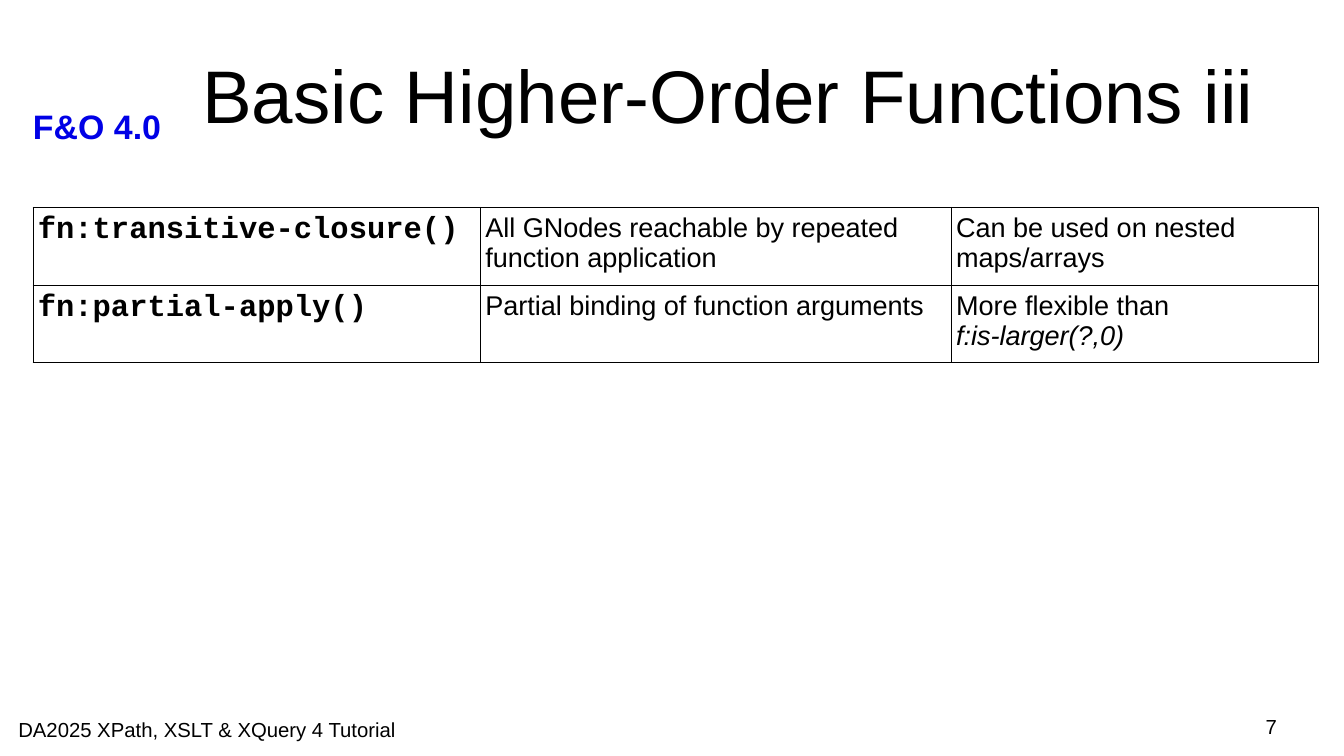
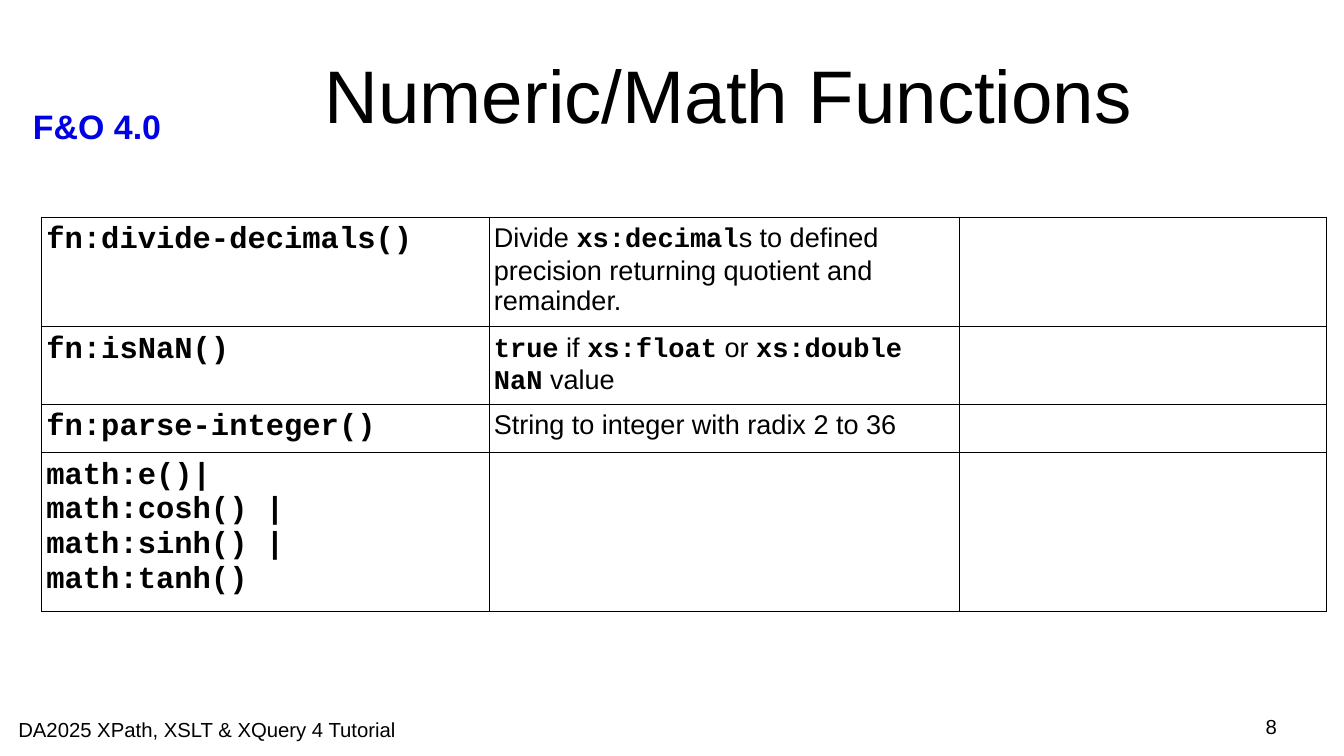
from dataclasses import dataclass

from lxml import etree
from pptx import Presentation
from pptx.dml.color import RGBColor
from pptx.enum.text import MSO_ANCHOR, PP_ALIGN
from pptx.oxml.ns import qn
from pptx.util import Inches, Pt

LEFT, CENTER, RIGHT = PP_ALIGN.LEFT, PP_ALIGN.CENTER, PP_ALIGN.RIGHT
TOP, MIDDLE = MSO_ANCHOR.TOP, MSO_ANCHOR.MIDDLE


@dataclass(frozen=True)
class Theme:
    ink: RGBColor = RGBColor(0, 0, 0)
    accent: RGBColor = RGBColor(0, 0, 0xE6)
    sans: str = "Arial"
    mono: str = "Courier New"
    title: int = 44
    section: int = 20
    function: int = 18
    body: int = 16
    footer: int = 12
    border: float = 0.57


theme = Theme()
COLUMN_WIDTHS = (3.67, 3.86, 3.01)
BODY, CODE, EMPHASIS, BREAK = "body", "code", "emphasis", "break"


def style(font, size, color=theme.ink, name=theme.sans, bold=False):
    font.name = name
    font.size = Pt(size)
    font.bold = bold
    font.color.rgb = color


def add_label(slide, text, box, size, align=LEFT, anchor=TOP, color=theme.ink, bold=False):
    frame = slide.shapes.add_textbox(*map(Inches, box)).text_frame
    frame.word_wrap = True
    frame.vertical_anchor = anchor
    frame.margin_left = frame.margin_right = frame.margin_top = frame.margin_bottom = 0
    paragraph = frame.paragraphs[0]
    paragraph.text = text
    paragraph.alignment = align
    style(paragraph.font, size, color, bold=bold)


pages = [
    {
        "title": "Basic Higher-Order Functions iii",
        "number": "7",
        "origin": (0.27, 1.7),
        "rows": [
            (0.64, ["fn:transitive-closure()"],
             [("All GNodes reachable by repeated function application", BODY)],
             [("Can be used on nested maps/arrays", BODY)]),
            (0.63, ["fn:partial-apply()"],
             [("Partial binding of function arguments", BODY)],
             [("More flexible than", BODY), ("", BREAK), ("f:is-larger(?,0)", EMPHASIS)]),
        ],
    },
    {
        "title": "Numeric/Math Functions",
        "number": "8",
        "origin": (0.34, 1.78),
        "rows": [
            (0.89, ["fn:divide-decimals()"],
             [("Divide ", BODY), ("xs:decimal", CODE),
              ("s to defined precision returning quotient and remainder.", BODY)], []),
            (0.63, ["fn:isNaN()"],
             [("true", CODE), (" if ", BODY), ("xs:float", CODE), (" or ", BODY),
              ("xs:double NaN", CODE), (" value", BODY)], []),
            (0.4, ["fn:parse-integer()"],
             [("String to integer with radix 2 to 36", BODY)], []),
            (1.3, ["math:e()|", "math:cosh() | math:sinh() |math:tanh()"], [], []),
        ],
    },
]

deck = Presentation()
deck.slide_width, deck.slide_height = Inches(11.02), Inches(6.2)

for page in pages:
    slide = deck.slides.add_slide(deck.slide_layouts[6])
    add_label(slide, "F&O 4.0", (0.27, 0.87, 1.18, 0.31), theme.section,
              color=theme.accent, bold=True)
    add_label(slide, page["title"], (1.48, 0.25, 8.99, 1.04), theme.title, CENTER, MIDDLE)

    rows = page["rows"]
    left, top = page["origin"]
    table = slide.shapes.add_table(
        len(rows), len(COLUMN_WIDTHS), Inches(left), Inches(top),
        Inches(sum(COLUMN_WIDTHS)), Inches(sum(row[0] for row in rows))).table
    table.first_row = table.horz_banding = False
    for column, width in zip(table.columns, COLUMN_WIDTHS):
        column.width = Inches(width)

    for row, (height, functions, *details) in zip(table.rows, rows):
        row.height = Inches(height)
        for cell in row.cells:
            cell.margin_left = cell.margin_right = Inches(0.04)
            cell.margin_top = cell.margin_bottom = Inches(0.05)
            properties = cell._tc.get_or_add_tcPr()
            for side in ("a:lnL", "a:lnR", "a:lnT", "a:lnB"):
                border = etree.SubElement(properties, qn(side), w=str(Pt(theme.border)))
                fill = etree.SubElement(border, qn("a:solidFill"))
                etree.SubElement(fill, qn("a:srgbClr"), val=str(theme.ink))
            cell.fill.background()

        function_cell, *detail_cells = row.cells
        function_cell.text = "\n".join(functions)
        for paragraph in function_cell.text_frame.paragraphs:
            style(paragraph.font, theme.function, name=theme.mono, bold=True)

        for cell, pieces in zip(detail_cells, details):
            paragraph = cell.text_frame.paragraphs[0]
            style(paragraph.font, theme.body)
            for text, kind in pieces:
                if kind == BREAK:
                    paragraph.add_line_break()
                    continue
                run = paragraph.add_run()
                run.text = text
                if kind == CODE:
                    run.font.name = theme.mono
                    run.font.bold = True
                elif kind == EMPHASIS:
                    run.font.italic = True

    add_label(slide, "DA2025 XPath, XSLT & XQuery 4 Tutorial", (0.15, 5.88, 3.49, 0.19),
              theme.footer)
    add_label(slide, page["number"], (7.9, 5.86, 2.57, 0.24), theme.footer, RIGHT)

deck.save("out.pptx")
